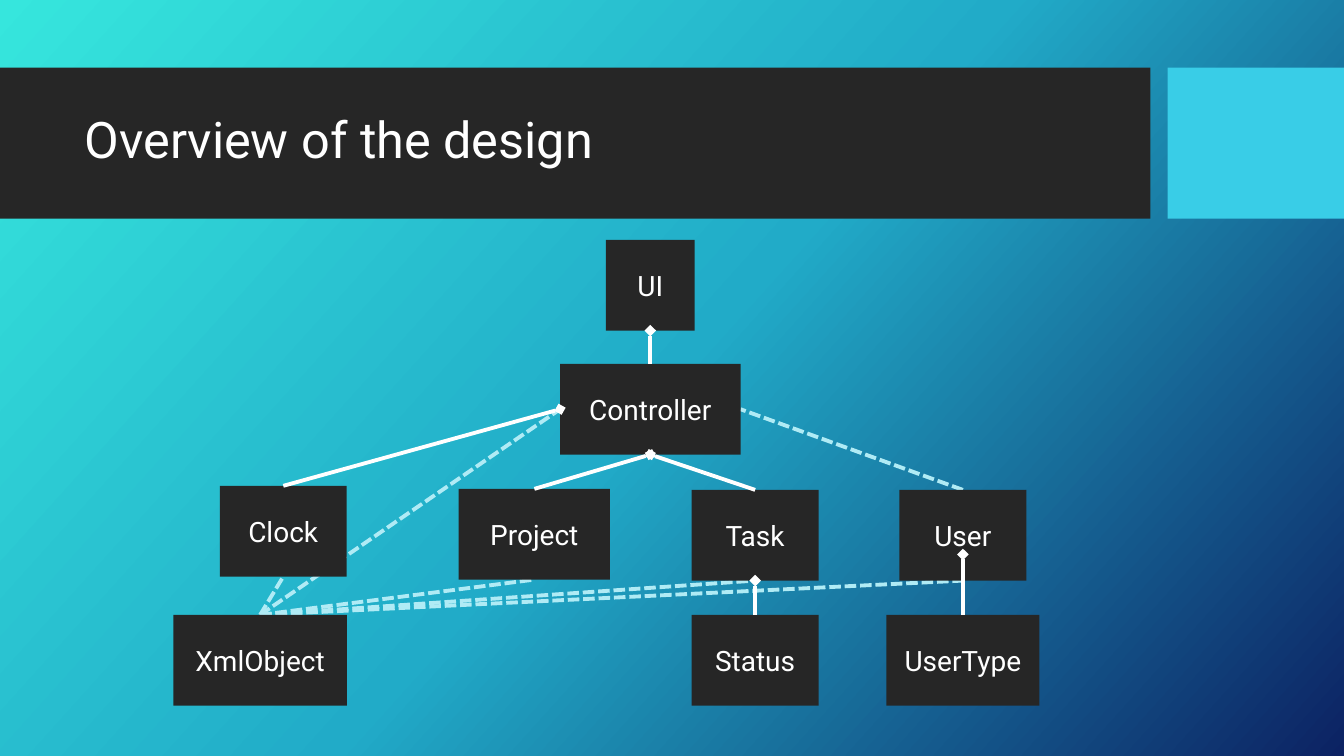
from copy import deepcopy
from dataclasses import dataclass

from pptx import Presentation
from pptx.dml.color import RGBColor
from pptx.enum.dml import MSO_LINE
from pptx.enum.shapes import MSO_CONNECTOR, MSO_SHAPE
from pptx.enum.text import MSO_ANCHOR, MSO_AUTO_SIZE, PP_ALIGN
from pptx.oxml.ns import qn
from pptx.util import Inches, Pt
from lxml.etree import SubElement


@dataclass(frozen=True)
class Theme:
    font: str = "Roboto"
    title_size: int = 36
    class_size: int = 20
    link_width: float = 2.75
    dark: str = "262626"
    accent: str = "39CDE7"
    white: str = "FFFFFF"
    dependency: str = "B0EBF5"
    gradient: tuple = ((0, "36E6DD"), (0.5, "21ABC8"), (1, "0C2263"))
    gradient_angle: int = 42


THEME = Theme()

# Content
TITLE = "Overview of the design"
BANDS = [(0, 11.41, THEME.dark), (11.58, 1.75, THEME.accent)]  # left, width, fill
BAND_TOP, BAND_HEIGHT = 0.67, 1.5
CLASS_HEIGHT = 0.9
CLASSES = {  # name: (centre, top, width)
    "UI": (6.45, 2.38, 0.88),
    "Controller": (6.45, 3.61, 1.79),
    "Project": (5.3, 4.85, 1.5),
    "Task": (7.49, 4.86, 1.26),
    "Status": (7.49, 6.1, 1.26),
    "Clock": (2.81, 4.82, 1.26),
    "XmlObject": (2.58, 6.1, 1.72),
    "User": (9.55, 4.86, 1.26),
    "UserType": (9.55, 6.1, 1.52),
}
TOP, LEFT, BOTTOM, RIGHT = range(4)  # connection sites of a rectangle
DEPENDENCIES = [
    ("User", TOP, "Controller", RIGHT),
    ("XmlObject", TOP, "Controller", LEFT),
    ("XmlObject", TOP, "Clock", BOTTOM),
    ("XmlObject", TOP, "Project", BOTTOM),
    ("XmlObject", TOP, "Task", BOTTOM),
    ("XmlObject", TOP, "User", BOTTOM),
]
COMPOSITIONS = [  # part, site, owner, site
    ("Controller", TOP, "UI", BOTTOM),
    ("Clock", TOP, "Controller", LEFT),
    ("Project", TOP, "Controller", BOTTOM),
    ("Task", TOP, "Controller", BOTTOM),
    ("Status", TOP, "Task", BOTTOM),
]
USER_TYPE_END = 5.5  # this diamond sits inside the User box


def color(value):
    return RGBColor.from_string(value)


def add_block(left, top, width, height, fill):
    block = slide.shapes.add_shape(
        MSO_SHAPE.RECTANGLE, Inches(left), Inches(top), Inches(width), Inches(height))
    block.shadow.inherit = False
    block.fill.solid()
    block.fill.fore_color.rgb = color(fill)
    block.line.fill.background()
    return block


def write(shape, text, size, align):
    frame = shape.text_frame
    frame.word_wrap = True
    frame.auto_size = MSO_AUTO_SIZE.NONE
    frame.vertical_anchor = MSO_ANCHOR.MIDDLE
    paragraph = frame.paragraphs[0]
    paragraph.alignment = align
    run = paragraph.add_run()
    run.text = text
    run.font.name = THEME.font
    run.font.size = Pt(size)
    run.font.color.rgb = color(THEME.white)
    return paragraph


def add_link(line_color, x1=0, y1=0, x2=0, y2=0):
    link = slide.shapes.add_connector(
        MSO_CONNECTOR.STRAIGHT, Inches(x1), Inches(y1), Inches(x2), Inches(y2))
    link.line.color.rgb = color(line_color)
    link.line.width = Pt(THEME.link_width)
    SubElement(link.element.spPr, qn("a:effectLst"))
    return link


def join(link, start, start_site, end, end_site):
    link.begin_connect(boxes[start], start_site)
    link.end_connect(boxes[end], end_site)


def add_diamond(link):
    SubElement(link.element.spPr.find(qn("a:ln")), qn("a:tailEnd"), type="diamond")


# Slide and background
deck = Presentation()
deck.slide_width, deck.slide_height = Inches(13.33), Inches(7.5)
slide = deck.slides.add_slide(deck.slide_layouts[5])
background = slide.background.fill
background.gradient()
background.gradient_angle = 360 - THEME.gradient_angle
stop_list = slide.element.find(".//" + qn("a:gsLst"))
stop_list.append(deepcopy(stop_list[0]))
for stop, (position, stop_color) in zip(background.gradient_stops, THEME.gradient):
    stop.position = position
    stop.color.rgb = color(stop_color)

# Title in front of its bands
for left, width, fill in BANDS:
    add_block(left, BAND_TOP, width, BAND_HEIGHT, fill)
title = slide.shapes.title
title.element.getparent().append(title.element)
title.left, title.top = Inches(0.74), Inches(0.82)
title.width, title.height = Inches(10.51), Inches(1.18)
write(title, TITLE, THEME.title_size, PP_ALIGN.LEFT).line_spacing = 0.9

# Class boxes
boxes = {}
for name, (centre, top, width) in CLASSES.items():
    boxes[name] = add_block(centre - width / 2, top, width, CLASS_HEIGHT, THEME.dark)
    write(boxes[name], name, THEME.class_size, PP_ALIGN.CENTER)

# Dashed dependencies behind the boxes
for ends in DEPENDENCIES:
    dependency = add_link(THEME.dependency)
    dependency.line.dash_style = MSO_LINE.SQUARE_DOT
    join(dependency, *ends)
    boxes["UI"].element.addprevious(dependency.element)

# Compositions with a diamond at the owner
for ends in COMPOSITIONS:
    composition = add_link(THEME.white)
    join(composition, *ends)
    add_diamond(composition)
centre, top, _ = CLASSES["UserType"]
add_diamond(add_link(THEME.white, centre, top, centre, USER_TYPE_END))

deck.save("out.pptx")
